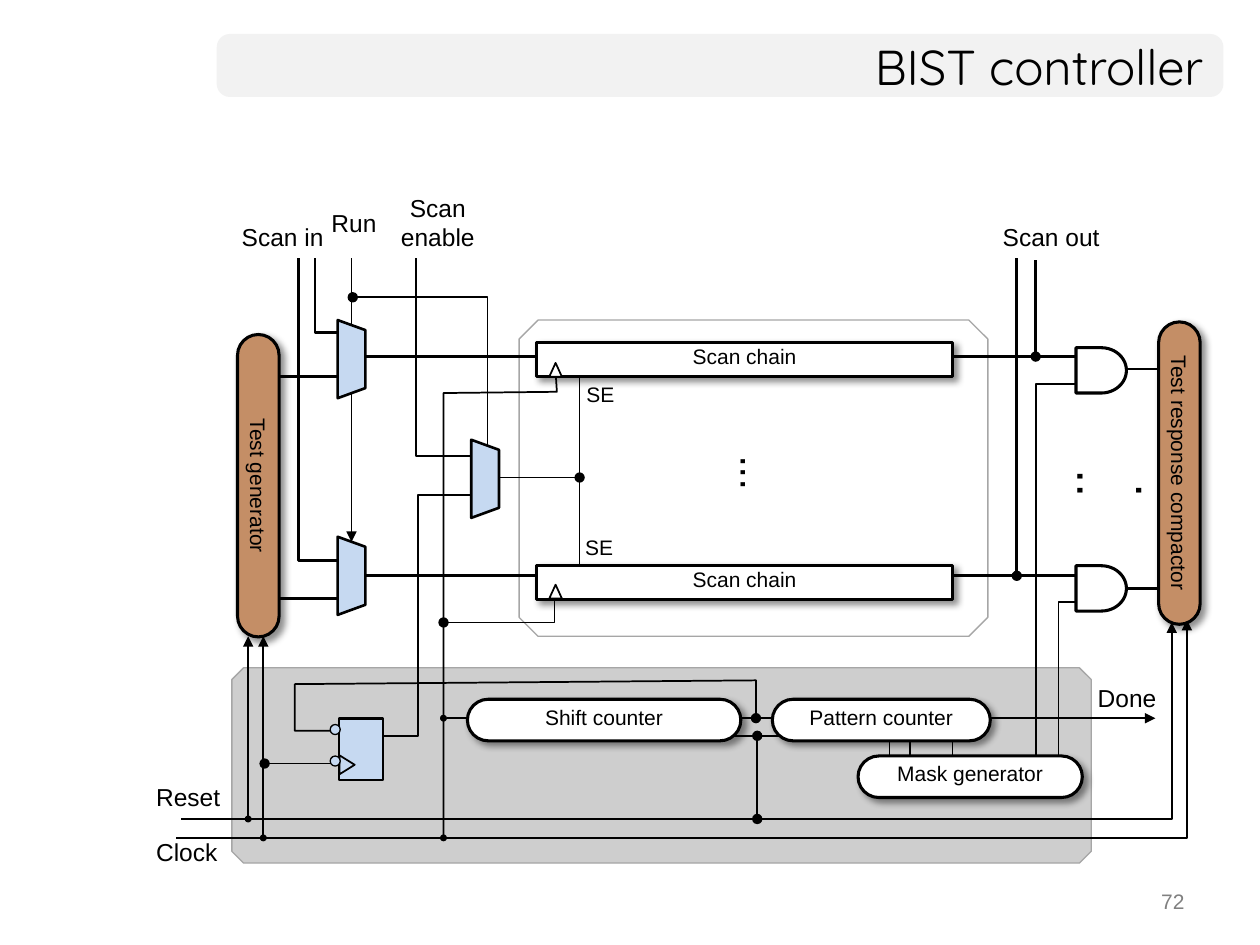
from lxml import etree
from pptx import Presentation
from pptx.dml.color import RGBColor
from pptx.enum import shapes, text
from pptx.oxml import ns
from pptx.util import Inches, Pt

BLACK = RGBColor(0x00, 0x00, 0x00)
WHITE = RGBColor(0xFF, 0xFF, 0xFF)
BAND = RGBColor(0xF2, 0xF2, 0xF2)
GRAY = RGBColor(0xA6, 0xA6, 0xA6)
NUMBER_GRAY = RGBColor(0x80, 0x80, 0x80)
BLUE = RGBColor(0xC6, 0xD9, 0xF1)
BROWN = RGBColor(0xC4, 0x8E, 0x66)
KIND = shapes.MSO_SHAPE
LEFT, CENTER, RIGHT = text.PP_ALIGN.LEFT, text.PP_ALIGN.CENTER, text.PP_ALIGN.RIGHT
NODE = {"type": "oval"}
SMALL_NODE = {"type": "oval", "w": "sm", "len": "sm"}
ARROW = {"type": "triangle"}

deck = Presentation()
deck.slide_width, deck.slide_height = Inches(10), Inches(7.5)
slide = deck.slides.add_slide(deck.slide_layouts[5])


def write(frame, words, size=14, font="Arial", color=BLACK, align=CENTER, wrap=True,
          grow=False, bottom=0.05, anchor=text.MSO_ANCHOR.MIDDLE):
    frame.word_wrap = wrap
    frame.auto_size = text.MSO_AUTO_SIZE.SHAPE_TO_FIT_TEXT if grow else text.MSO_AUTO_SIZE.NONE
    frame.vertical_anchor = anchor
    frame.margin_bottom = Inches(bottom)
    paragraph = frame.paragraphs[0]
    paragraph.text = words
    paragraph.alignment = align
    paragraph.font.size = Pt(size)
    paragraph.font.name = font
    paragraph.font.color.rgb = color


def wire(points, width=1, head=None, tail=None, fill=None):
    ends = [(Inches(x), Inches(y)) for x, y in points]
    if len(ends) == 2:
        line = slide.shapes.add_connector(shapes.MSO_CONNECTOR.STRAIGHT, *ends[0], *ends[1])
    else:
        builder = slide.shapes.build_freeform(*ends[0])
        builder.add_line_segments(ends[1:], close=fill is not None)
        line = builder.convert_to_shape()
        if fill is None:
            line.fill.background()
        else:
            line.fill.solid()
            line.fill.fore_color.rgb = fill
    line.line.color.rgb = BLACK
    line.line.width = Pt(width)
    properties = line.element.spPr
    outline = properties.find(ns.qn("a:ln"))
    for end, style in (("a:headEnd", head), ("a:tailEnd", tail)):
        if style:
            etree.SubElement(outline, ns.qn(end), **style)
    etree.SubElement(properties, ns.qn("a:effectLst"))


backdrops = [
    (KIND.ROUNDED_RECTANGLE, (1.72, 0.27, 7.99, 0.5), 0.21, BAND, None),
    (KIND.OCTAGON, (1.84, 5.3, 6.82, 1.55), 0.06, GRAY, 55000),
    (KIND.OCTAGON, (4.12, 2.54, 3.72, 2.51), 0.06, None, None),
]
for kind, place, corner, color, alpha in backdrops:
    backdrop = slide.shapes.add_shape(kind, *map(Inches, place))
    backdrop.shadow.inherit = False
    backdrop.adjustments[0] = corner
    if color is None:
        backdrop.fill.background()
    else:
        backdrop.fill.solid()
        backdrop.fill.fore_color.rgb = color
    if alpha:
        tint = backdrop.element.spPr.find(".//" + ns.qn("a:srgbClr"))
        etree.SubElement(tint, ns.qn("a:alpha"), val=str(alpha))
    if color == BAND:
        backdrop.line.fill.background()
    else:
        backdrop.line.color.rgb = GRAY
        backdrop.line.width = Pt(0.75)

title = slide.shapes.title
title.left, title.top, title.width, title.height = map(Inches, (1.72, 0.27, 7.93, 0.5))
slide.shapes._spTree.append(title.element)
write(title.text_frame, "BIST controller", size=28, font="Quicksand", align=RIGHT)

for x in (7.06, 7.22, 7.56):
    wire([(x, 5.71), (x, 6.2)])

thin_wires = [
    ([(3.52, 4.94), (4.4, 4.94), (4.4, 4.65)], NODE, None),
    ([(8.71, 4.78), (8.4, 4.78), (8.4, 6.1)], None, None),
    ([(2.1, 6.06), (2.99, 6.06)], NODE, None),
    ([(2.99, 5.84), (3.32, 5.84), (3.32, 3.93), (3.86, 3.93)], None, None),
    ([(6.01, 6.5), (6.01, 5.84), (6.5, 5.84)], NODE, None),
    ([(6.01, 5.84), (5.68, 5.84)], NODE, None),
    ([(3.52, 5.7), (6.85, 5.7)], SMALL_NODE, None),
    ([(3.97, 3.62), (3.3, 3.62), (3.3, 2.05)], None, None),
    ([(2.79, 2.05), (2.79, 4.3)], None, ARROW),
    ([(8.22, 6.1), (8.22, 3.05), (8.7, 3.05)], None, None),
    ([(1.44, 6.5), (9.3, 6.5), (9.3, 4.94)], None, ARROW),
    ([(1.4, 6.65), (9.42, 6.65), (9.42, 4.92)], None, ARROW),
    ([(7.5, 5.7), (9.17, 5.7)], None, ARROW),
    ([(4.6, 4.64), (4.6, 2.84)], None, None),
    ([(3.87, 3.79), (4.6, 3.79)], None, NODE),
    ([(2.8, 2.36), (3.87, 2.36), (3.87, 3.69)], NODE, None),
    ([(4.41, 2.95), (4.42, 3.11), (3.52, 3.12), (3.52, 6.65)], None, SMALL_NODE),
    ([(2.09, 6.65), (2.09, 5.05)], SMALL_NODE, ARROW),
    ([(1.97, 6.5), (1.97, 5.05)], SMALL_NODE, ARROW),
    ([(6, 5.7), (6, 5.4), (2.34, 5.43), (2.34, 5.8), (2.75, 5.8)], NODE, None),
]
for points, head, tail in thin_wires:
    wire(points, head=head, tail=tail)

thick_wires = [
    ([(2.76, 4.75), (2.09, 4.75)], None),
    ([(2.77, 2.99), (1.96, 2.99)], None),
    ([(8.77, 4.67), (9.38, 4.67)], None),
    ([(8.84, 2.93), (9.42, 2.93)], None),
    ([(2.37, 2.05), (2.37, 4.45), (2.68, 4.45)], None),
    ([(2.7, 2.64), (2.5, 2.64), (2.5, 2.05)], None),
    ([(2.83, 2.83), (8.77, 2.83)], None),
    ([(2.83, 4.57), (8.71, 4.57)], None),
    ([(8.22, 2.83), (8.22, 2.06)], NODE),
    ([(8.07, 4.57), (8.07, 2.05)], NODE),
]
for points, head in thick_wires:
    wire(points, width=1.5, head=head)

for x, y in ((2.68, 2.54), (2.68, 4.26), (3.74, 3.49)):
    wire([(x, y), (x + 0.22, y + 0.08), (x + 0.22, y + 0.54), (x, y + 0.62)],
         width=1.5, fill=BLUE)

blocks = [
    (KIND.RECTANGLE, (4.26, 2.72, 3.3, 0.27), WHITE, 0, "Scan chain"),
    (KIND.RECTANGLE, (4.26, 4.49, 3.3, 0.27), WHITE, 0, "Scan chain"),
    (KIND.ROUNDED_RECTANGLE, (0.85, 3.69, 2.4, 0.33), BROWN, 90, "Test generator"),
    (KIND.ROUNDED_RECTANGLE, (8.16, 3.59, 2.4, 0.33), BROWN, 90, "Test response compactor"),
    (KIND.ROUNDED_RECTANGLE, (3.71, 5.55, 2.17, 0.33), WHITE, 0, "Shift counter"),
    (KIND.ROUNDED_RECTANGLE, (6.13, 5.55, 1.73, 0.33), WHITE, 0, "Pattern counter"),
    (KIND.ROUNDED_RECTANGLE, (6.81, 6, 1.78, 0.33), WHITE, 0, "Mask generator"),
]
for kind, place, color, turn, words in blocks:
    block = slide.shapes.add_shape(kind, *map(Inches, place))
    block.rotation = turn
    block.fill.solid()
    block.fill.fore_color.rgb = color
    block.line.color.rgb = BLACK
    block.line.width = Pt(1.75)
    if kind == KIND.ROUNDED_RECTANGLE:
        block.adjustments[0] = 0.5
    write(block.text_frame, words, size=12, bottom=0.05 if turn else 0.1)
    effects = etree.SubElement(block.element.spPr, ns.qn("a:effectLst"))
    shade = etree.SubElement(effects, ns.qn("a:outerShdw"), blurRad=str(Pt(4)),
                             dist=str(Pt(3)), dir="2700000", algn="tl", rotWithShape="0")
    shade_color = etree.SubElement(shade, ns.qn("a:srgbClr"), val="000000")
    etree.SubElement(shade_color, ns.qn("a:alpha"), val="43000")

symbols = [
    (KIND.FLOWCHART_DELAY, (8.54, 2.76, 0.4, 0.36), WHITE, 1.75, 0),
    (KIND.FLOWCHART_DELAY, (8.54, 4.49, 0.4, 0.36), WHITE, 1.75, 0),
    (KIND.RECTANGLE, (2.69, 5.7, 0.35, 0.49), BLUE, 1.5, 0),
    (KIND.ISOSCELES_TRIANGLE, (2.68, 6.01, 0.15, 0.12), BLUE, 1, 90),
    (KIND.FLOWCHART_CONNECTOR, (2.62, 5.75, 0.08, 0.08), BLUE, 0.75, 90),
    (KIND.FLOWCHART_CONNECTOR, (2.62, 6, 0.08, 0.08), BLUE, 0.75, 90),
    (KIND.ISOSCELES_TRIANGLE, (4.36, 2.88, 0.1, 0.11), WHITE, 1, 0),
    (KIND.ISOSCELES_TRIANGLE, (4.36, 4.64, 0.1, 0.11), WHITE, 1, 0),
]
for kind, place, color, width, turn in symbols:
    symbol = slide.shapes.add_shape(kind, *map(Inches, place))
    symbol.shadow.inherit = False
    symbol.rotation = turn
    symbol.fill.solid()
    symbol.fill.fore_color.rgb = color
    symbol.line.color.rgb = BLACK
    symbol.line.width = Pt(width)

labels = [
    ("Scan in", (1.82, 1.71, 0.86, 0.34), 14, LEFT, 0),
    ("Run", (2.53, 1.6, 0.56, 0.34), 14, CENTER, 0),
    ("Scan\venable", (3.08, 1.48, 0.79, 0.57), 14, CENTER, 0),
    ("Scan out", (7.86, 1.71, 0.98, 0.34), 14, LEFT, 0),
    ("Done", (8.61, 5.37, 0.67, 0.34), 14, CENTER, 0),
    ("Reset", (1.14, 6.15, 0.72, 0.34), 14, LEFT, 0),
    ("Clock", (1.14, 6.59, 0.71, 0.34), 14, LEFT, 0),
    ("SE", (4.55, 2.98, 0.43, 0.3), 12, CENTER, 0),
    ("SE", (4.54, 4.19, 0.43, 0.3), 12, CENTER, 0),
    ("...", (5.54, 3.5, 0.48, 0.5), 24, LEFT, 270),
    ("...", (8.41, 3.5, 0.52, 0.57), 28, LEFT, 270),
]
for words, place, size, align, turn in labels:
    label = slide.shapes.add_textbox(*map(Inches, place))
    label.rotation = turn
    write(label.text_frame, words, size=size, align=align, wrap=False, grow=True)

page = slide.shapes.add_textbox(*map(Inches, (7.17, 7, 2.33, 0.35)))
write(page.text_frame, "72", size=12, color=NUMBER_GRAY, align=RIGHT,
      anchor=text.MSO_ANCHOR.TOP)

deck.save("out.pptx")
